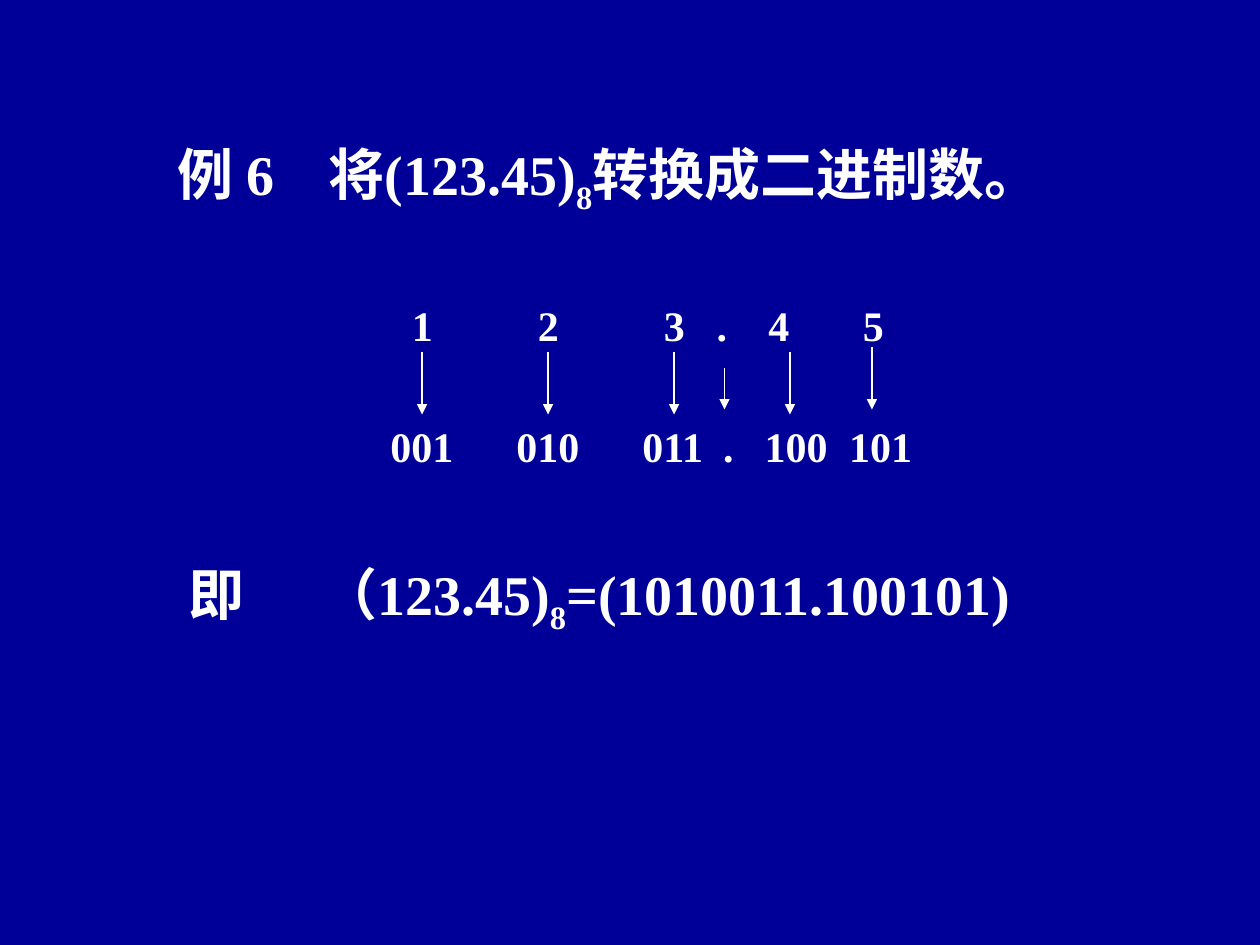
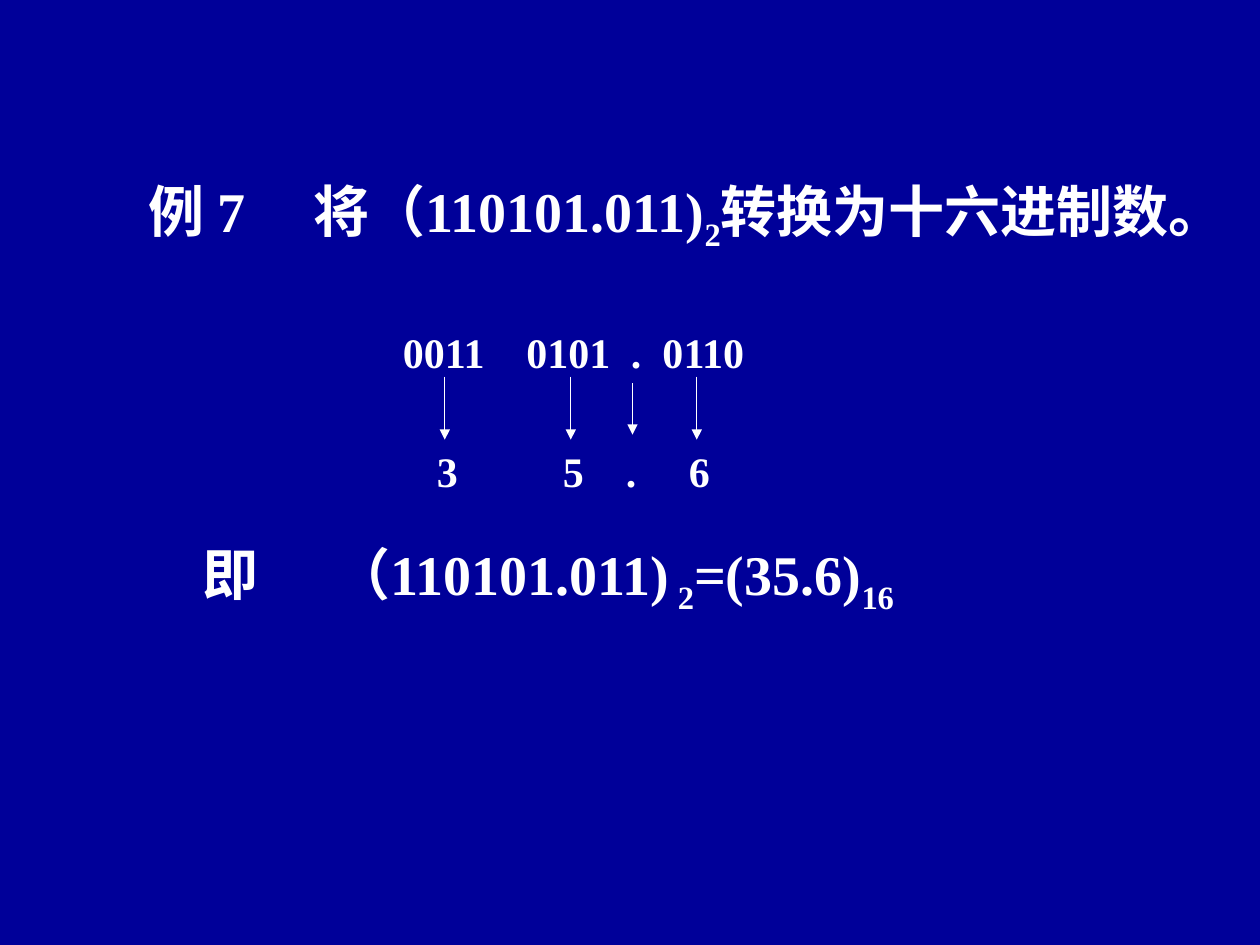
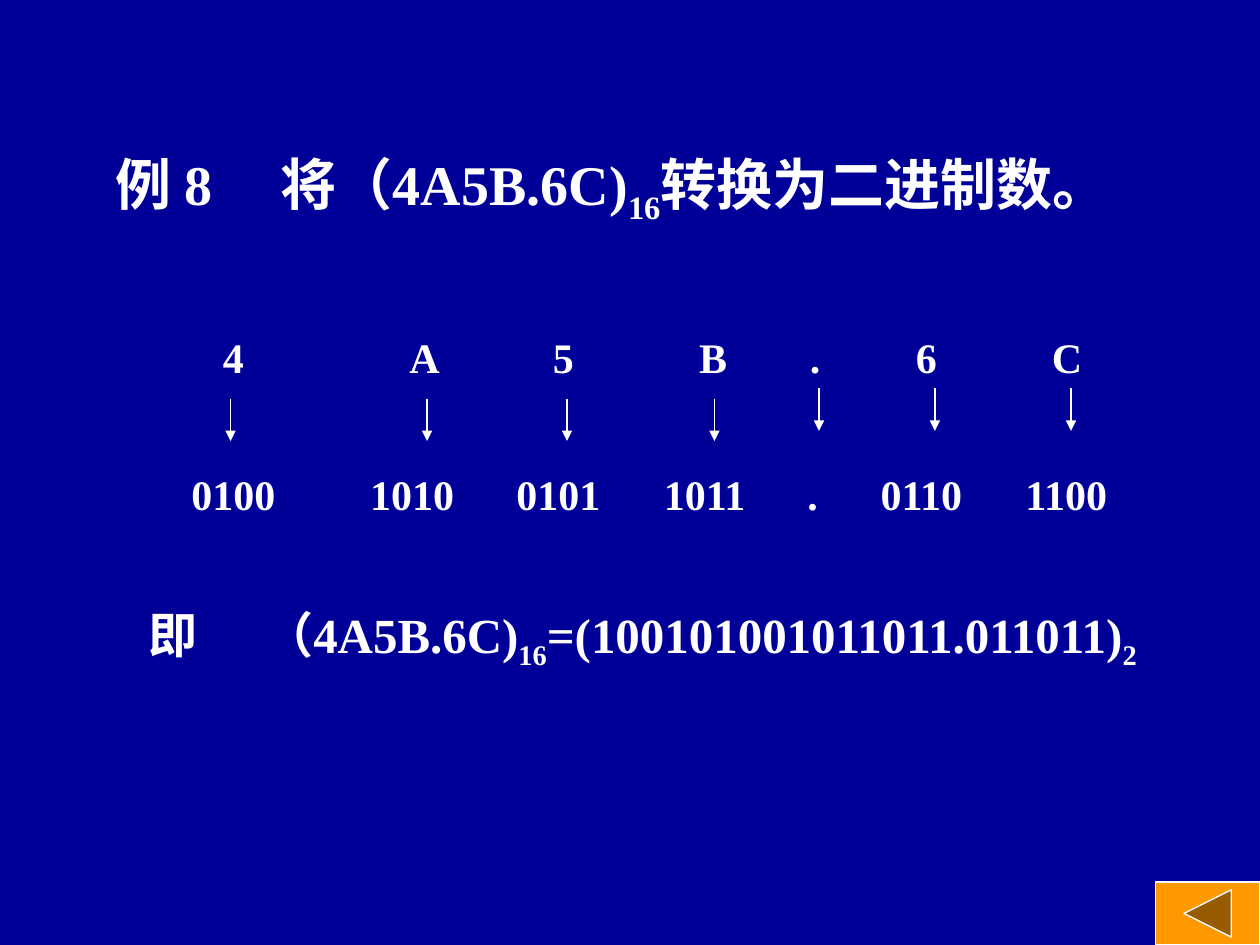
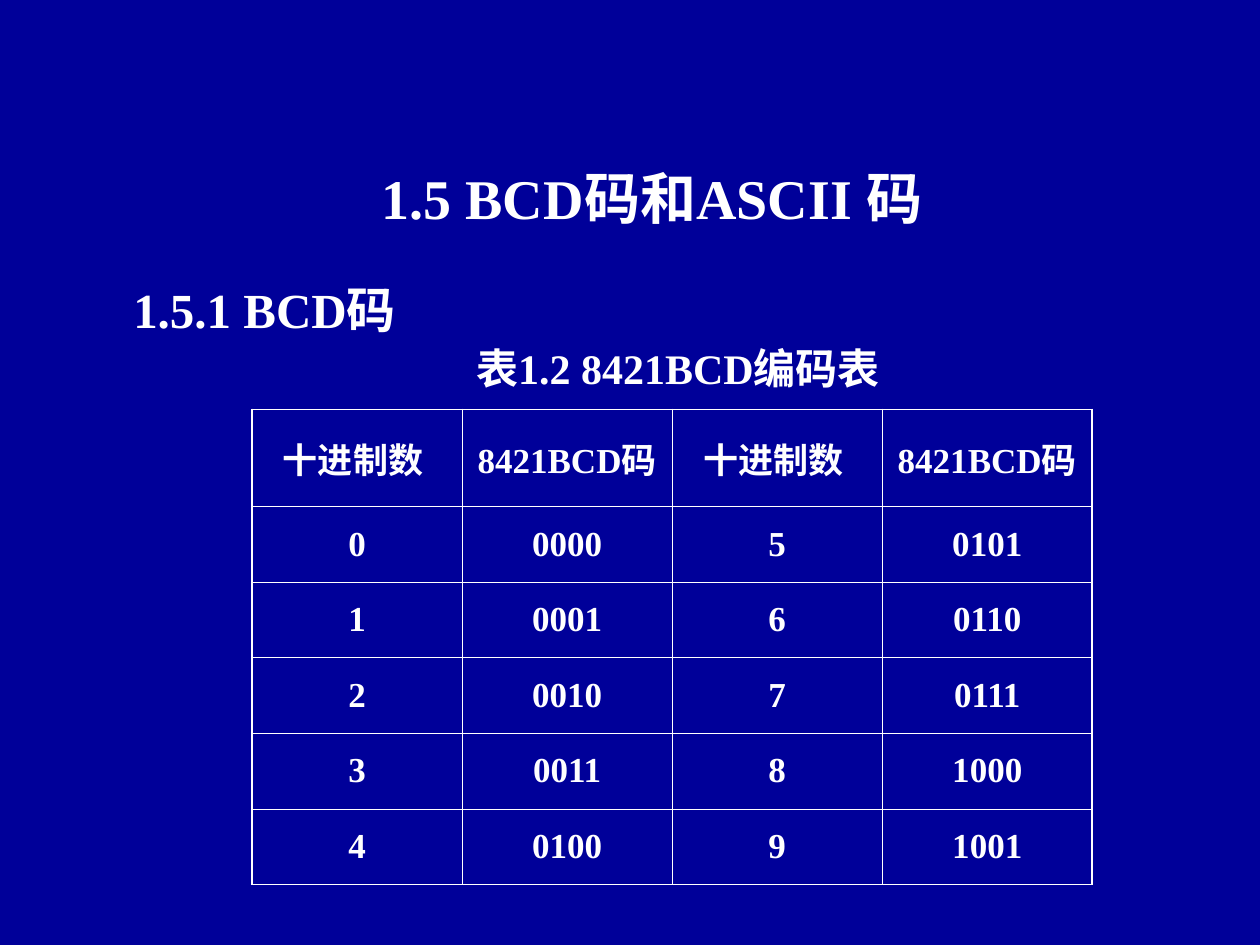
"""Number-base conversion examples and the 8421BCD code table."""
from dataclasses import dataclass

from lxml.etree import SubElement
from pptx import Presentation
from pptx.dml.color import RGBColor
from pptx.enum.shapes import MSO_CONNECTOR, MSO_SHAPE
from pptx.enum.text import MSO_ANCHOR, PP_ALIGN
from pptx.oxml.ns import qn
from pptx.slide import Slide
from pptx.table import _Cell as Cell
from pptx.text.text import _Paragraph as Paragraph
from pptx.util import Inches, Pt


@dataclass(frozen=True)
class Theme:
    background: RGBColor = RGBColor(0x00, 0x00, 0x99)
    ink: RGBColor = RGBColor(0xFF, 0xFF, 0xFF)
    button: RGBColor = RGBColor(0xFF, 0x99, 0x00)
    font: str = "Times New Roman"
    title: int = 32
    heading: int = 28
    body: int = 24
    cell: int = 20
    hairline: float = 0.75
    inner_border: float = 0.45
    outer_border: float = 1.08


THEME = Theme()


@dataclass(frozen=True)
class Piece:
    text: str
    subscript: bool = False


@dataclass(frozen=True)
class Line:
    left: float
    top: float
    width: float
    height: float
    pieces: tuple[Piece, ...]
    size: int = THEME.body
    tabs: tuple[float, ...] = ()


@dataclass(frozen=True)
class Arrows:
    top: float
    bottom: float
    columns: tuple[float, ...]


@dataclass(frozen=True)
class Example:
    lines: tuple[Line, ...]
    arrows: tuple[Arrows, ...]


def plain(text: str) -> tuple[Piece, ...]:
    return (Piece(text),)


def digits(*groups: str) -> tuple[Piece, ...]:
    return plain("\t".join(groups))


def sub(text: str) -> Piece:
    return Piece(text, subscript=True)


EXAMPLES = (
    Example(
        lines=(
            Line(1.31, 1.06, 7.37, 0.71,
                 (Piece("例 6\t将(123.45)"), sub("8"), Piece("转换成二进制数。")),
                 THEME.title, (1.2,)),
            Line(3.17, 2.33, 4.1, 0.5, digits("1", "2", "3", ".", "4", "5"),
                 tabs=(1, 2, 2.42, 2.83, 3.58)),
            Line(3, 3.29, 4.53, 0.5, digits("001", "010", "011", ".", "100", "101"),
                 tabs=(1, 2, 2.64, 2.97, 3.64)),
            Line(1.4, 4.39, 6.97, 0.71,
                 (Piece("即\t（123.45)"), sub("8"), Piece("=(1010011.100101)")),
                 THEME.title, (1.05,)),
        ),
        arrows=(
            Arrows(2.79, 3.29, (3.35, 4.35, 5.35, 6.27)),
            Arrows(2.75, 3.25, (6.92,)),
            Arrows(2.92, 3.25, (5.75,)),
        ),
    ),
    Example(
        lines=(
            Line(1.08, 1.35, 9.11, 0.71,
                 (Piece("例 7\t将（110101.011)"), sub("2"), Piece("转换为十六进制数。")),
                 THEME.title, (1.31,)),
            Line(3.1, 2.54, 3.36, 0.5, digits("0011", "0101", ".", "0110"),
                 tabs=(0.98, 1.81, 2.06)),
            Line(3.37, 3.49, 3.2, 0.5, digits("3", "5", ".", "6"), tabs=(1, 1.5, 2)),
            Line(1.51, 4.23, 5.95, 0.71,
                 (Piece("即\t（110101.011)"), sub(" 2"), Piece("=(35.6)"), sub("16")),
                 THEME.title, (1.05,)),
        ),
        arrows=(
            Arrows(2.99, 3.49, (3.53, 4.53, 5.53)),
            Arrows(3.04, 3.45, (5.02,)),
        ),
    ),
    Example(
        lines=(
            Line(0.82, 1.14, 8.4, 0.71,
                 (Piece("例 8\t将（4A5B.6C)"), sub("16"), Piece("转换为二进制数。")),
                 THEME.title, (1.31,)),
            Line(1.67, 2.58, 7.15, 0.5, digits("4", "A", "5", "B", ".", "6", "C"),
                 tabs=(1.48, 2.62, 3.78, 4.66, 5.5, 6.58)),
            Line(1.42, 3.67, 7.53, 0.5,
                 digits("0100", "1010", "0101", "1011", ".", "0110", "1100"),
                 tabs=(1.42, 2.58, 3.75, 4.89, 5.47, 6.62)),
            Line(1.08, 4.75, 8.5, 0.63,
                 (Piece("即\t（4A5B.6C)"), sub("16"),
                  Piece("=(100101001011011.011011)"), sub("2")),
                 THEME.heading, (0.92,)),
        ),
        arrows=(
            Arrows(3.17, 3.5, (1.83, 3.39, 4.5, 5.67)),
            Arrows(3.08, 3.42, (6.5, 7.42, 8.5)),
        ),
    ),
)

BCD_LINES = (
    Line(2.93, 1.25, 4.91, 0.64, plain("1.5 BCD码和ASCII 码"), THEME.title),
    Line(0.96, 2.17, 2.46, 0.57, plain("1.5.1 BCD码"), THEME.heading),
    Line(3.68, 2.67, 3.64, 0.5, plain("表1.2 8421BCD编码表")),
)
BCD_HEADER = ("十进制数 ", "8421BCD码 ") * 2
BCD_ROWS = [
    (str(low), f"{low:04b}", str(low + 5), f"{low + 5:04b}") for low in range(5)
]


def add_pieces(paragraph: Paragraph, pieces: tuple[Piece, ...], size: int) -> None:
    for piece in pieces:
        run = paragraph.add_run()
        run.text = piece.text
        run.font.name = THEME.font
        run.font.size = Pt(size)
        run.font.bold = True
        run.font.color.rgb = THEME.ink
        if piece.subscript:
            run._r.get_or_add_rPr().set("baseline", "-25000")


def add_line(slide: Slide, line: Line) -> None:
    box = slide.shapes.add_textbox(
        Inches(line.left), Inches(line.top), Inches(line.width), Inches(line.height))
    box.text_frame.word_wrap = True
    paragraph = box.text_frame.paragraphs[0]
    if line.tabs:
        stops = SubElement(paragraph._p.get_or_add_pPr(), qn("a:tabLst"))
        for position in line.tabs:
            SubElement(stops, qn("a:tab"), pos=str(Inches(position)), algn="l")
    add_pieces(paragraph, line.pieces, line.size)


def add_arrows(slide: Slide, arrows: Arrows) -> None:
    for column in arrows.columns:
        arrow = slide.shapes.add_connector(
            MSO_CONNECTOR.STRAIGHT, Inches(column), Inches(arrows.top),
            Inches(column), Inches(arrows.bottom))
        arrow.line.color.rgb = THEME.ink
        arrow.line.width = Pt(THEME.hairline)
        SubElement(arrow.line._get_or_add_ln(), qn("a:tailEnd"), type="triangle")
        SubElement(arrow._element.spPr, qn("a:effectLst"))


def add_back_button(slide: Slide) -> None:
    back = slide.shapes.add_shape(
        MSO_SHAPE.ACTION_BUTTON_BACK_OR_PREVIOUS,
        Inches(9.17), Inches(7), Inches(0.83), Inches(0.5))
    back.shadow.inherit = False
    back.fill.solid()
    back.fill.fore_color.rgb = THEME.button
    back.line.color.rgb = THEME.ink
    back.line.width = Pt(THEME.hairline)


def set_borders(cell: Cell, outer_sides: dict[str, bool]) -> None:
    properties = cell._tc.get_or_add_tcPr()
    for side, outer in outer_sides.items():
        width = THEME.outer_border if outer else THEME.inner_border
        border = SubElement(properties, qn(f"a:ln{side}"), w=str(Pt(width)))
        fill = SubElement(border, qn("a:solidFill"))
        SubElement(fill, qn("a:srgbClr"), val=str(THEME.ink))


def add_bcd_table(slide: Slide) -> None:
    rows = [BCD_HEADER, *BCD_ROWS]
    last_row, last_column = len(rows) - 1, len(BCD_HEADER) - 1
    table = slide.shapes.add_table(
        len(rows), len(BCD_HEADER),
        Inches(2), Inches(3.25), Inches(6.67), Inches(3.75)).table
    table.first_row = table.horz_banding = False
    for index, row in enumerate(table.rows):
        row.height = Inches(0.6 if index else 0.77)
    for r, texts in enumerate(rows):
        for c, text in enumerate(texts):
            cell = table.cell(r, c)
            set_borders(cell, {"L": c == 0, "R": c == last_column,
                               "T": r == 0, "B": r == last_row})
            cell.fill.background()
            cell.vertical_anchor = MSO_ANCHOR.MIDDLE
            paragraph = cell.text_frame.paragraphs[0]
            paragraph.alignment = PP_ALIGN.CENTER
            add_pieces(paragraph, plain(text), THEME.cell)


def main() -> None:
    deck = Presentation()
    deck.slide_width, deck.slide_height = Inches(10), Inches(7.5)
    backdrop = deck.slide_master.background.fill
    backdrop.solid()
    backdrop.fore_color.rgb = THEME.background
    blank = deck.slide_layouts[6]

    for example in EXAMPLES:
        slide = deck.slides.add_slide(blank)
        for line in example.lines:
            add_line(slide, line)
        for arrows in example.arrows:
            add_arrows(slide, arrows)
    add_back_button(slide)

    bcd = deck.slides.add_slide(blank)
    for line in BCD_LINES:
        add_line(bcd, line)
    add_bcd_table(bcd)
    deck.save("out.pptx")


if __name__ == "__main__":
    main()
